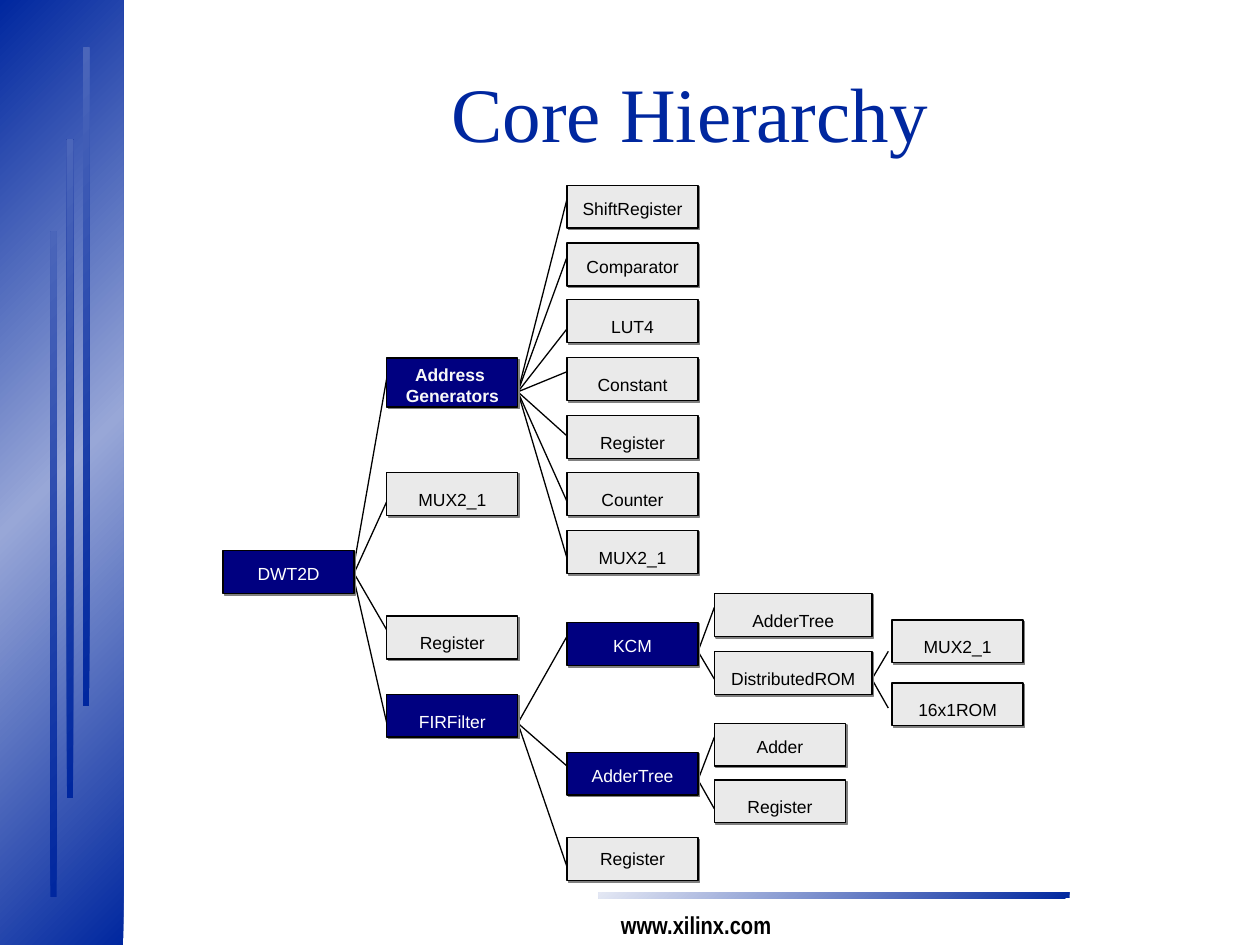
from lxml.etree import SubElement
from pptx import Presentation
from pptx.dml.color import RGBColor
from pptx.enum.shapes import MSO_CONNECTOR, MSO_SHAPE
from pptx.enum.text import MSO_ANCHOR, MSO_AUTO_SIZE, PP_ALIGN
from pptx.oxml.ns import qn
from pptx.util import Inches, Pt

BLUE = RGBColor(0x00, 0x27, 0x9F)
MID_BLUE = RGBColor(0x4B, 0x66, 0xBA)
SOFT_BLUE = RGBColor(0x98, 0xA7, 0xD7)
PALE_BLUE = RGBColor(0xE4, 0xE8, 0xF4)
NAVY = RGBColor(0x00, 0x00, 0x80)
GREY = RGBColor(0xEA, 0xEA, 0xEA)
SHADOW = RGBColor(0x80, 0x80, 0x80)
BLACK = RGBColor(0x00, 0x00, 0x00)
WHITE = RGBColor(0xFF, 0xFF, 0xFF)
OFF_WHITE = RGBColor(0xF8, 0xF8, 0xF8)

deck = Presentation()
deck.slide_width = Inches(10)
deck.slide_height = Inches(7.5)
page = deck.slides.add_slide(deck.slide_layouts[5])

# Side panel, its three stripes and the footer bar
decorations = [
    (0, 0, 0.98, 7.5, [BLUE, SOFT_BLUE, BLUE]),
    (0.4, 1.84, 0.05, 5.28, [BLUE, MID_BLUE]),
    (0.53, 1.11, 0.05, 5.22, [BLUE, MID_BLUE]),
    (0.66, 0.38, 0.05, 5.22, [BLUE, MID_BLUE]),
    (4.75, 7.08, 3.74, 0.05, [BLUE, PALE_BLUE]),
]
for left, top, width, height, colors in decorations:
    bar = page.shapes.add_shape(MSO_SHAPE.RECTANGLE, Inches(left), Inches(top),
                                Inches(width), Inches(height))
    bar.shadow.inherit = False
    bar.line.fill.background()
    bar.fill.gradient()
    bar.fill.gradient_angle = 135
    stops = bar._element.spPr.find(qn("a:gradFill")).find(qn("a:gsLst"))
    for stop in list(stops):
        stops.remove(stop)
    for index, color in enumerate(colors):
        position = 100000 * index // (len(colors) - 1)
        stop = SubElement(stops, qn("a:gs"), pos=str(position))
        SubElement(stop, qn("a:srgbClr"), val=str(color))

# Web address
footer = page.shapes.add_textbox(Inches(4.83), Inches(7.17), Inches(1.4), Inches(0.34))
footer.text_frame.word_wrap = False
span = footer.text_frame.paragraphs[0].add_run()
span.text = "www.xilinx.com"
span.font.name = "Arial Narrow"
span.font.size = Pt(14)
span.font.bold = True
span.font.color.rgb = BLACK

# Title
title = page.shapes.title
title.left, title.top = Inches(1.07), Inches(0.32)
title.width, title.height = Inches(8.81), Inches(1.25)
title.text_frame.auto_size = MSO_AUTO_SIZE.NONE
title.text_frame.vertical_anchor = MSO_ANCHOR.MIDDLE
para = title.text_frame.paragraphs[0]
para.alignment = PP_ALIGN.CENTER
para.line_spacing = 0.85
span = para.add_run()
span.text = "Core Hierarchy"
span.font.name = "Times New Roman"
span.font.size = Pt(44)
span.font.color.rgb = BLUE

# Connectors: start x, start y, end x, end heights
branches = [
    (2.81, 4.48, 3.07, [3]),
    (2.81, 4.55, 3.07, [3.98, 5]),
    (2.81, 4.6, 3.07, [5.74]),
    (4.11, 3.11, 4.5, [1.58, 2.04, 2.61, 2.95, 3.46, 3.98, 4.43]),
    (4.11, 5.74, 4.5, [5.05, 6.08, 6.88]),
    (5.54, 5.17, 5.67, [4.82, 5.39]),
    (5.54, 6.19, 5.67, [5.85, 6.42]),
    (6.92, 5.39, 7.05, [5.17, 5.62]),
]
for start_x, start_y, end_x, end_heights in branches:
    for end_y in end_heights:
        link = page.shapes.add_connector(MSO_CONNECTOR.STRAIGHT, Inches(start_x), Inches(start_y),
                                         Inches(end_x), Inches(end_y))
        link.line.color.rgb = BLACK
        link.line.width = Pt(0.75)
        SubElement(link._element.spPr, qn("a:effectLst"))

# Cores: left, top, width, height, top inset, fill, label
cores = [
    (1.77, 4.37, 1.04, 0.34, 0.1, NAVY, "DWT2D"),
    (3.07, 2.84, 1.04, 0.39, 0.05, NAVY, "Address \nGenerators"),
    (3.07, 3.75, 1.04, 0.34, 0.13, GREY, "MUX2_1"),
    (3.07, 4.89, 1.04, 0.34, 0.13, GREY, "Register"),
    (3.07, 5.51, 1.04, 0.34, 0.13, NAVY, "FIRFilter"),
    (4.5, 4.94, 1.04, 0.34, 0.1, NAVY, "KCM"),
    (4.5, 5.97, 1.04, 0.34, 0.1, NAVY, "AdderTree"),
    (4.5, 6.65, 1.04, 0.34, 0.08, GREY, "Register"),
    (5.67, 4.71, 1.25, 0.34, 0.13, GREY, "AdderTree"),
    (5.67, 5.17, 1.25, 0.34, 0.13, GREY, "DistributedROM"),
    (5.67, 5.74, 1.04, 0.34, 0.1, GREY, "Adder"),
    (5.67, 6.19, 1.04, 0.34, 0.13, GREY, "Register"),
    (7.08, 4.92, 1.04, 0.34, 0.13, GREY, "MUX2_1"),
    (7.08, 5.42, 1.04, 0.34, 0.13, GREY, "16x1ROM"),
]
generator_parts = ["ShiftRegister", "Comparator", "LUT4", "Constant",
                   "Register", "Counter", "MUX2_1"]
for index, label in enumerate(generator_parts):
    top = round(1.47 + index * 2.74 / 6, 2)
    cores.append((4.5, top, 1.04, 0.34, 0.1 if index < 2 else 0.13, GREY, label))

for left, top, width, height, inset, fill, label in cores:
    box = page.shapes.add_shape(MSO_SHAPE.RECTANGLE, Inches(left), Inches(top),
                                Inches(width), Inches(height))
    box.fill.solid()
    box.fill.fore_color.rgb = fill
    box.line.color.rgb = BLACK
    box.line.width = Pt(0.75)
    box.shadow.inherit = False
    effects = box._element.spPr.find(qn("a:effectLst"))
    shade = SubElement(effects, qn("a:outerShdw"), dist=str(Pt(1.4)), dir="2700000",
                       algn="ctr", rotWithShape="0")
    SubElement(shade, qn("a:srgbClr"), val=str(SHADOW))

    frame = box.text_frame
    frame.word_wrap = True
    frame.vertical_anchor = MSO_ANCHOR.TOP
    frame.margin_top = Inches(inset)
    lines = label.split("\n")
    for index, line in enumerate(lines):
        para = frame.add_paragraph() if index else frame.paragraphs[0]
        para.alignment = PP_ALIGN.CENTER
        span = para.add_run()
        span.text = line
        span.font.name = "Arial"
        span.font.size = Pt(10)
        span.font.bold = len(lines) > 1
        if fill == GREY:
            span.font.color.rgb = BLACK
        else:
            span.font.color.rgb = OFF_WHITE if len(lines) > 1 else WHITE

deck.save("out.pptx")
